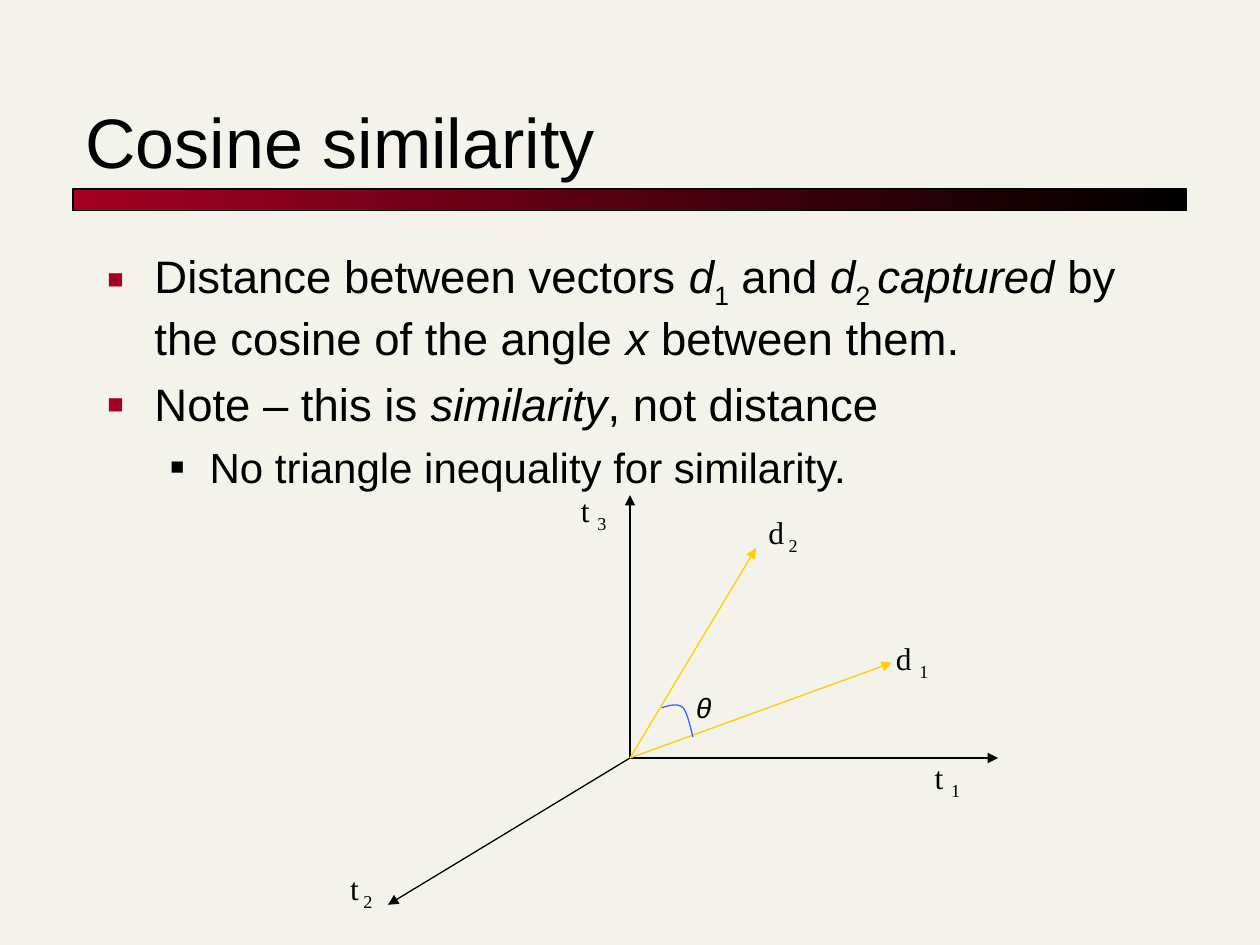
"""Build the cosine similarity slide with its vector diagram."""
import pptx
import pptx.util
import pptx.dml.color
import pptx.enum.shapes
import pptx.enum.text
import pptx.oxml.ns
import lxml.etree

Cm = pptx.util.Cm
Pt = pptx.util.Pt
RGBColor = pptx.dml.color.RGBColor
NONE = pptx.enum.text.MSO_AUTO_SIZE.NONE
TOP = pptx.enum.text.MSO_ANCHOR.TOP
BOTTOM = pptx.enum.text.MSO_ANCHOR.BOTTOM
LEFT = pptx.enum.text.PP_ALIGN.LEFT

PAPER = RGBColor(0xF4, 0xF3, 0xEB)
BLACK = RGBColor(0, 0, 0)
RED = RGBColor(0xA5, 0x00, 0x21)
GOLD = RGBColor(0xFF, 0xCF, 0x01)
BLUE = RGBColor(0x33, 0x66, 0xFF)

TITLE = "Cosine similarity"
POINTS = [
    (0, [("Distance between vectors ", ""), ("d", "i"), ("1", "sub"),
         (" and ", ""), ("d", "i"), ("2 ", "sub"), ("captured", "i"),
         (" by the cosine of the angle ", ""), ("x", "i"),
         (" between them.", "")]),
    (0, [("Note – this is ", ""), ("similarity", "i"),
         (", not distance", "")]),
    (1, [("No triangle inequality for similarity.", "")]),
]
LEVELS = [
    dict(size=26, gap=6.5, left=0.95, hang=0.95, color=RED, scale=60),
    dict(size=24, gap=6, left=2.06, hang=0.79, color=BLACK, scale=55),
]
ORIGIN = (12.7, 15.28)
VECTORS = [
    ((20.12, 15.28), BLACK),
    ((12.7, 9.98), BLACK),
    ((7.82, 18.24), BLACK),
    ((17.98, 13.36), GOLD),
    ((15.24, 11.05), GOLD),
]
SERIF = ("Times New Roman", 18, False)
MONO = ("Courier New", 16, True)
LABELS = [
    ((18.59, 15.16, 1.02), [("t ", ""), ("1", "sub")], SERIF, False),
    ((15.24, 10.21, 1.3), [("d", ""), (" 2", "sub")], SERIF, True),
    ((17.81, 12.75, 1.17), [("d ", ""), ("1", "sub")], SERIF, False),
    ((11.46, 9.78, 1.02), [("t ", ""), ("3", "sub")], SERIF, False),
    ((6.81, 17.4, 0.97), [("t", ""), (" 2", "sub")], SERIF, False),
    ((13.77, 13.79, 0.76), [("θ", "")], MONO, True),
]
ARC = [
    ((13.34, 14.27), (13.49, 14.22), (13.67, 14.17), (13.77, 14.27)),
    ((13.77, 14.27), (13.87, 14.38), (13.94, 14.76), (13.97, 14.86)),
]
STEPS = 12


def sub(host, tag, **attrs):
    return lxml.etree.SubElement(host, pptx.oxml.ns.qn(tag), attrs)


def place(shape, x, y, wide, high):
    shape.left, shape.top = Cm(x), Cm(y)
    shape.width, shape.height = Cm(wide), Cm(high)


def style(para, face, size, slant=None):
    font = para.font
    font.name, font.size, font.italic = face, Pt(size), slant
    font.color.rgb = BLACK


def write(para, runs):
    for text, kind in runs:
        run = para.add_run()
        run.text = text
        if kind == "i":
            run.font.italic = True
        elif kind == "sub":
            run._r.get_or_add_rPr().set("baseline", "-25000")


def bullet(para, look):
    props = para._p.get_or_add_pPr()
    props.set("marL", str(Cm(look["left"])))
    props.set("indent", str(-Cm(look["hang"])))
    sub(sub(props, "a:buClr"), "a:srgbClr", val=str(look["color"]))
    sub(props, "a:buSzPct", val=str(look["scale"] * 1000))
    sub(props, "a:buFont", typeface="Arial")
    sub(props, "a:buChar", char="■")


def add_bar(slide):
    bar = slide.shapes.add_shape(
        pptx.enum.shapes.MSO_SHAPE.RECTANGLE,
        Cm(1.47), Cm(3.81), Cm(22.45), Cm(0.43))
    bar.shadow.inherit = False
    bar.fill.gradient()
    bar.fill.gradient_angle = 0
    for stop, color in zip(bar.fill.gradient_stops, (RED, BLACK)):
        stop.color.rgb = color
    bar.line.color.rgb = BLACK
    bar.line.width = Pt(0.75)


def add_title(slide):
    title = slide.shapes.title
    place(title, 1.47, 1.07, 22.43, 2.74)
    frame = title.text_frame
    frame.text = TITLE
    frame.auto_size, frame.vertical_anchor = NONE, BOTTOM
    para = frame.paragraphs[0]
    para.alignment = LEFT
    style(para, "Arial", 40)


def add_body(slide):
    body = slide.placeholders[1]
    place(body, 1.91, 4.88, 21.59, 13.54)
    frame = body.text_frame
    frame.auto_size, frame.vertical_anchor = NONE, TOP
    for num, (level, runs) in enumerate(POINTS):
        para = frame.add_paragraph() if num else frame.paragraphs[0]
        look = LEVELS[level]
        para.level = level
        para.space_before = Pt(look["gap"])
        bullet(para, look)
        style(para, "Arial", look["size"])
        write(para, runs)


def add_vector(slide, end, color):
    line = slide.shapes.add_connector(
        pptx.enum.shapes.MSO_CONNECTOR.STRAIGHT, *map(Cm, ORIGIN + end))
    line.line.color.rgb = color
    line.line.width = Pt(0.75)
    sub(line.line._get_or_add_ln(), "a:tailEnd", type="triangle")
    sub(line._element.spPr, "a:effectLst")


def add_label(slide, spot, runs, look, wrap):
    x, y, wide = spot
    high = 1.12 if look is SERIF else 0.94
    box = slide.shapes.add_textbox(Cm(x), Cm(y), Cm(wide), Cm(high))
    frame = box.text_frame
    frame.word_wrap = wrap
    para = frame.paragraphs[0]
    style(para, *look)
    write(para, runs)


def bend(curve, t):
    s = 1 - t
    parts = (s ** 3, 3 * s * s * t, 3 * s * t * t, t ** 3)
    return tuple(Cm(sum(w * p[axis] for w, p in zip(parts, curve)))
                 for axis in (0, 1))


def add_arc(slide):
    dots = [bend(curve, step / STEPS)
            for curve in ARC for step in range(1, STEPS + 1)]
    form = slide.shapes.build_freeform(*bend(ARC[0], 0))
    form.add_line_segments(dots, close=False)
    arc = form.convert_to_shape()
    arc.shadow.inherit = False
    arc.fill.background()
    arc.line.color.rgb = BLUE
    arc.line.width = Pt(0.75)


def main():
    deck = pptx.Presentation()
    deck.slide_width, deck.slide_height = Cm(25.4), Cm(19.05)
    slide = deck.slides.add_slide(deck.slide_layouts[1])
    slide.background.fill.solid()
    slide.background.fill.fore_color.rgb = PAPER
    add_bar(slide)
    add_title(slide)
    add_body(slide)
    for end, color in VECTORS:
        add_vector(slide, end, color)
    add_arc(slide)
    for label in LABELS:
        add_label(slide, *label)
    deck.save("out.pptx")


if __name__ == "__main__":
    main()
